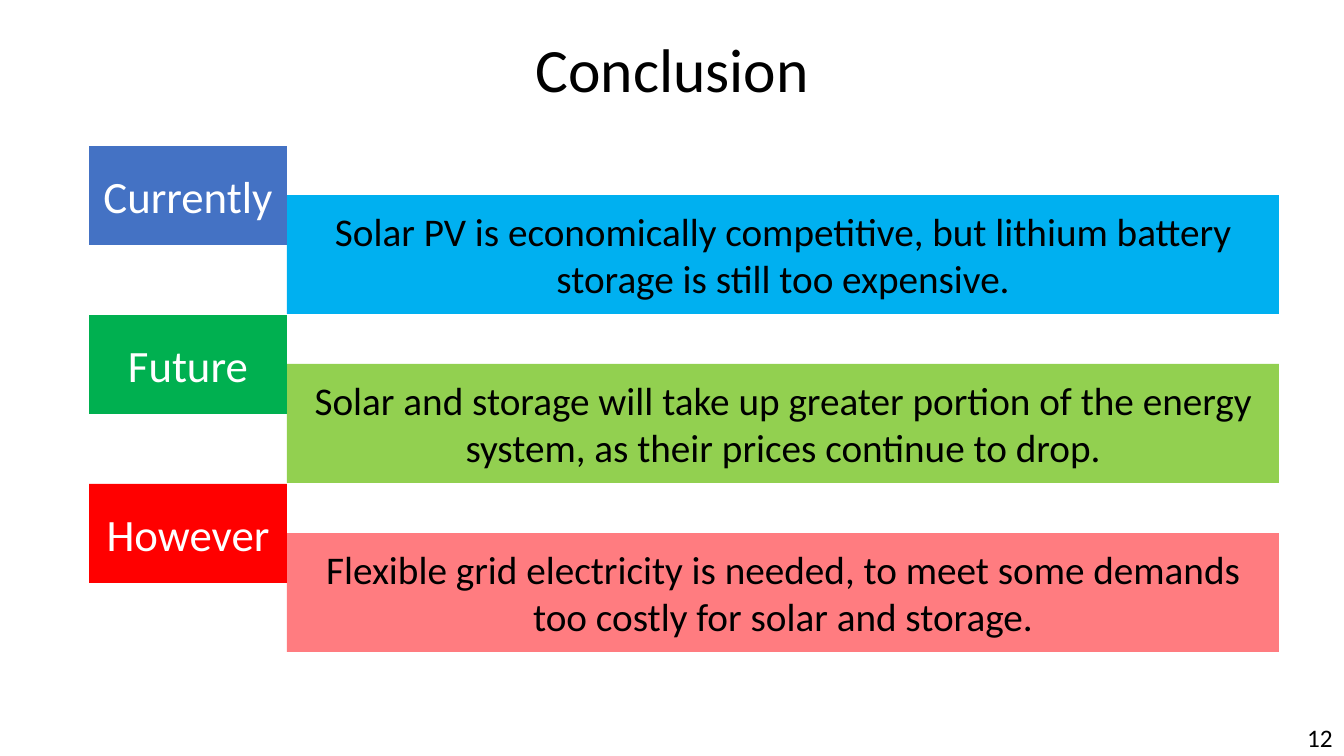
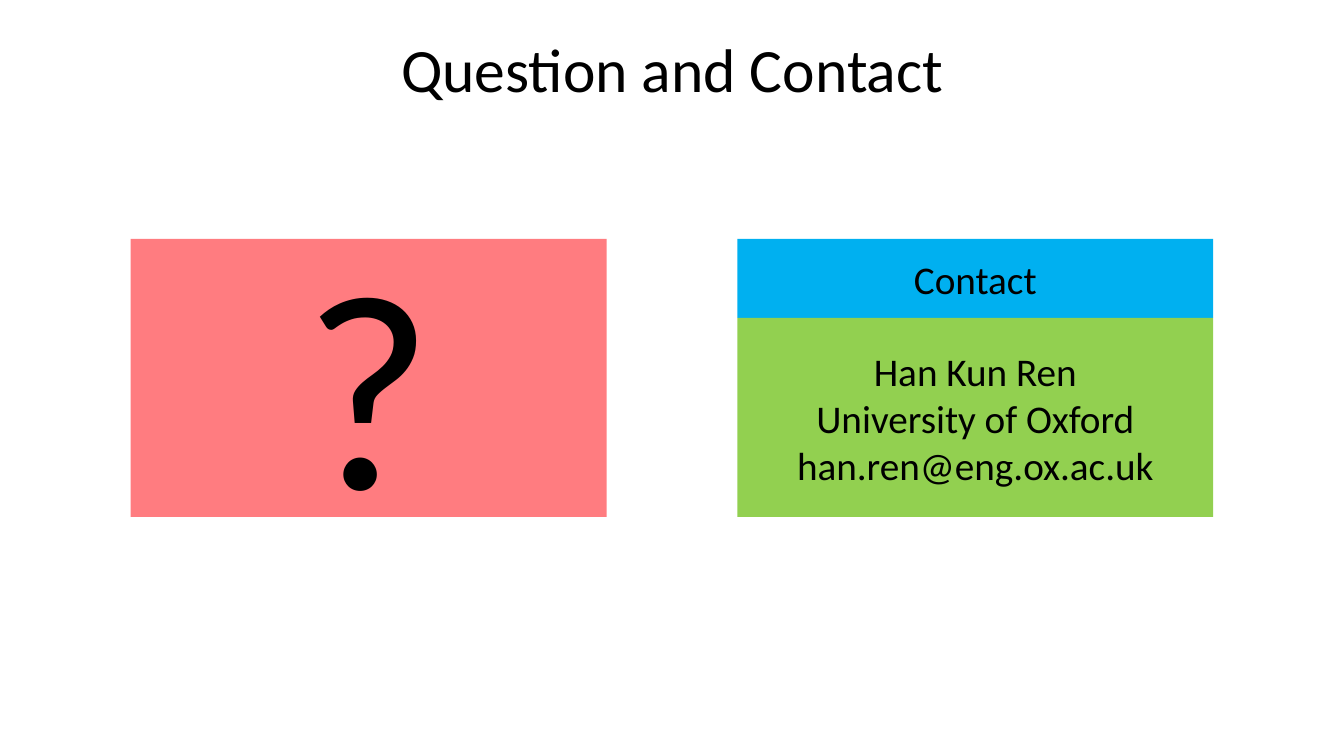
from pptx import Presentation
from pptx import util as u
from pptx.dml import color
from pptx.enum import shapes, text

PAGE_WIDTH, PAGE_HEIGHT = 1344, 756
EMU_PER_PX = 12192000 / PAGE_WIDTH
FONT = "Calibri"
COLORS = {
    "black": "000000",
    "white": "FFFFFF",
    "blue": "4472C4",
    "sky": "00B0F0",
    "green": "00B050",
    "lime": "92D050",
    "red": "FF0000",
    "coral": "FF7C80",
}
CONCLUSIONS = [
    ("Currently", "blue", "sky",
     "Solar PV is economically competitive, but lithium battery storage is still too expensive."),
    ("Future", "green", "lime",
     "Solar and storage will take up greater portion of the energy system, "
     "as their prices continue to drop."),
    ("However", "red", "coral",
     "Flexible grid electricity is needed, to meet some demands too costly for solar and storage."),
]
CONTACT_LINES = ["Han Kun Ren", "University of Oxford", "han.ren@eng.ox.ac.uk"]


def emu(*lengths):
    return [u.Emu(round(length * EMU_PER_PX)) for length in lengths]


def rgb(name):
    return color.RGBColor.from_string(COLORS[name])


def write(shape, lines, size, ink="black", anchor=text.MSO_ANCHOR.MIDDLE, wrap=True):
    frame = shape.text_frame
    frame.word_wrap = wrap
    frame.vertical_anchor = anchor
    frame.text = "\n".join(lines)
    for para in frame.paragraphs:
        para.alignment = text.PP_ALIGN.CENTER
        para.font.name = FONT
        para.font.size = u.Pt(size)
        para.font.color.rgb = rgb(ink)


def add_block(page, box, fill, lines, size, ink="black"):
    block = page.shapes.add_shape(shapes.MSO_SHAPE.RECTANGLE, *emu(*box))
    block.shadow.inherit = False
    block.fill.solid()
    block.fill.fore_color.rgb = rgb(fill)
    block.line.fill.background()
    write(block, lines, size, ink)


def add_page(deck, heading):
    page = deck.slides.add_slide(deck.slide_layouts[5])
    title = page.shapes.title
    title.left, title.top, title.width, title.height = emu(93, 0, 1159, 146)
    write(title, [heading], 44)
    title.text_frame.paragraphs[0].line_spacing = 0.9
    return page


def add_conclusions(page, box):
    left, top, width, height = box
    label_width, label_height = 198, 99
    bar_offset, bar_height = 49, 119
    step = (height - bar_offset - bar_height) / (len(CONCLUSIONS) - 1)
    for index, (label, label_fill, bar_fill, sentence) in enumerate(CONCLUSIONS):
        row_top = top + index * step
        add_block(page, (left + label_width, row_top + bar_offset, width - label_width, bar_height),
                  bar_fill, [sentence], 28)
        add_block(page, (left, row_top, label_width, label_height),
                  label_fill, [label], 32, "white")


def add_page_number(page, box, number):
    number_box = page.shapes.add_textbox(*emu(*box))
    write(number_box, [str(number)], 18, anchor=text.MSO_ANCHOR.TOP, wrap=False)


def add_contact_card(page, box):
    left, top, width, height = box
    header_height = 79
    add_block(page, (left, top, width, header_height), "sky", ["Contact"], 28)
    add_block(page, (left, top + header_height, width, height - header_height),
              "lime", CONTACT_LINES, 28)


def build_conclusion(deck):
    page = add_page(deck, "Conclusion")
    add_conclusions(page, (89, 146, 1190, 506))
    add_page_number(page, (1296, 717, 48, 40), 12)


def build_contact(deck):
    page = add_page(deck, "Question and Contact")
    top, width, height = 239, 476, 278
    gap = (PAGE_WIDTH - 2 * width) / 3
    add_contact_card(page, (2 * gap + width, top, width, height))
    add_block(page, (gap, top, width, height), "coral", ["?"], 200)


def main():
    deck = Presentation()
    deck.slide_width, deck.slide_height = emu(PAGE_WIDTH, PAGE_HEIGHT)
    build_conclusion(deck)
    build_contact(deck)
    deck.save("out.pptx")


if __name__ == "__main__":
    main()
